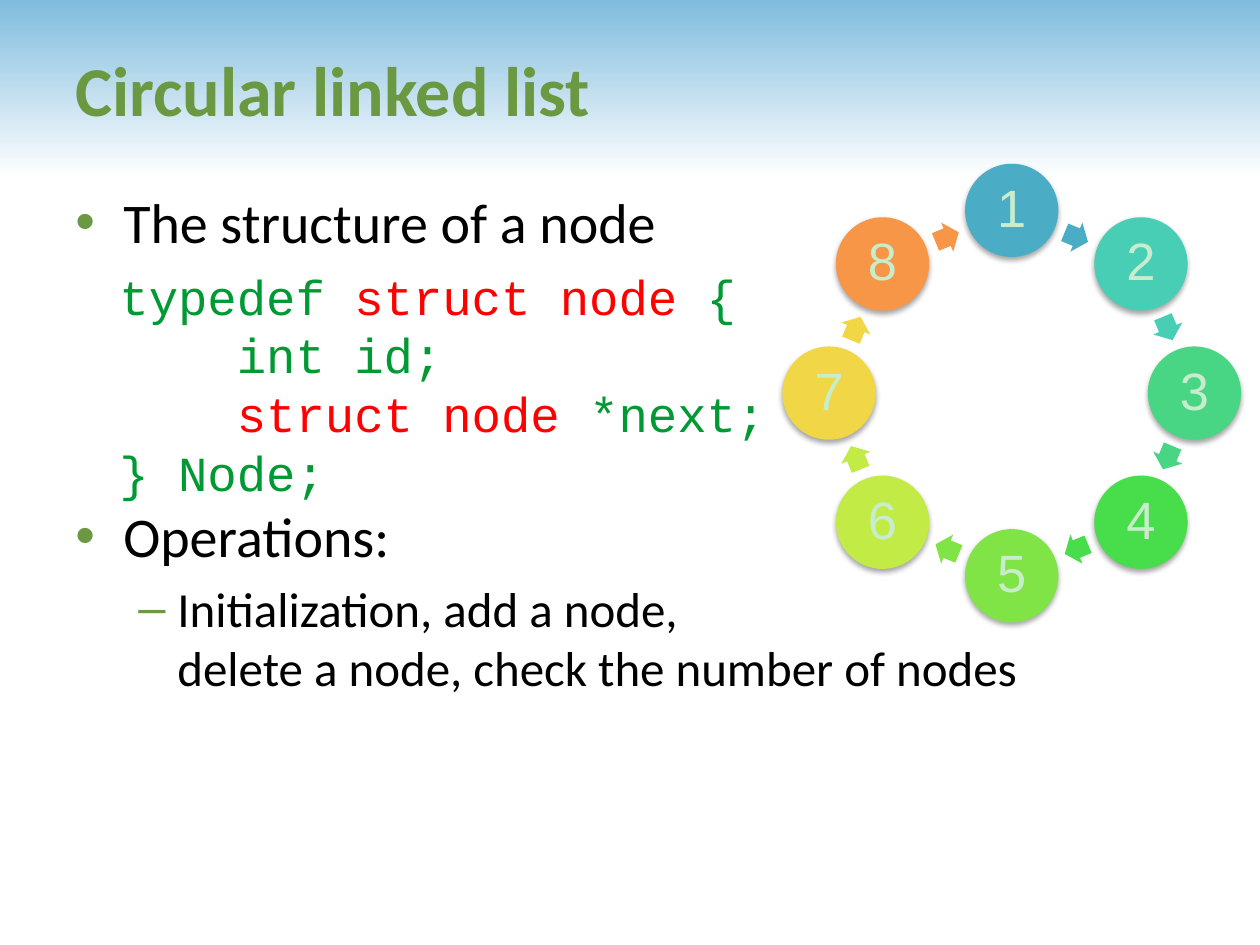
from dataclasses import dataclass
from math import cos, radians, sin

from pptx import Presentation
from pptx.dml.color import RGBColor
from pptx.enum.shapes import MSO_SHAPE as Shape
from pptx.enum.text import MSO_ANCHOR as Anchor, PP_ALIGN as Align
from pptx.oxml import parse_xml
from pptx.oxml.ns import nsdecls
from pptx.util import Inches, Pt


@dataclass(frozen=True)
class Theme:
    heading_font: str = "Calibri"
    code_font: str = "Courier New"
    number_font: str = "Arial"
    title_size: int = 40
    body_size: int = 32
    small_size: int = 28
    number_size: int = 30
    accent: str = "6B9941"
    ink: str = "000000"
    code: str = "009933"
    keyword: str = "FF0000"
    number: str = "C7EDCC"
    band_top: str = "80BCDE"
    paper: str = "FFFFFF"
    ring: tuple = ("4BACC6", "49CEB6", "48D684", "47DD4B",
                   "80E446", "C3EB46", "F1D746", "F79646")


class Painter:
    def __init__(self, page, theme):
        self.page = page
        self.theme = theme

    def band(self, width, height):
        band = self.page.shapes.add_shape(Shape.RECTANGLE, 0, 0, Inches(width), Inches(height))
        band.shadow.inherit = False
        band.line.fill.background()
        band.fill.gradient()
        band.fill.gradient_angle = 270
        for stop, color in zip(band.fill.gradient_stops, (self.theme.band_top, self.theme.paper)):
            stop.color.rgb = RGBColor.from_string(color)

    def text_box(self, left, top, width, height, **frame_format):
        box = self.page.shapes.add_textbox(*map(Inches, (left, top, width, height)))
        for name, value in ({"word_wrap": True} | frame_format).items():
            setattr(box.text_frame, name, value)
        return box.text_frame

    def paragraph(self, frame, first=False, **para_format):
        para = frame.paragraphs[0] if first else frame.add_paragraph()
        for name, value in para_format.items():
            setattr(para, name, value)
        return para

    def span(self, para, text, font, size, color, bold=False):
        span = para.add_run()
        span.text = text
        for name, value in {"name": font, "size": Pt(size), "bold": bold}.items():
            setattr(span.font, name, value)
        span.font.color.rgb = RGBColor.from_string(color)

    def bullet(self, para, mark, margin, hanging):
        props = para._p.get_or_add_pPr()
        props.set("marL", str(Inches(margin)))
        props.set("indent", str(-Inches(hanging)))
        for xml in (f'<a:buClr {nsdecls("a")}><a:srgbClr val="{self.theme.accent}"/></a:buClr>',
                    f'<a:buFont {nsdecls("a")} typeface="Arial"/>',
                    f'<a:buChar {nsdecls("a")} char="{mark}"/>'):
            props.append(parse_xml(xml))

    def solid(self, kind, center, width, height, color):
        x, y = center
        shape = self.page.shapes.add_shape(
            kind, *map(Inches, (x - width / 2, y - height / 2, width, height)))
        shape.shadow.inherit = False
        shape.fill.solid()
        shape.fill.fore_color.rgb = RGBColor.from_string(color)
        shape.line.fill.background()
        return shape

    def node(self, center, size, label, color):
        circle = self.solid(Shape.OVAL, center, size, size, color)
        circle._element.spPr.find(".//{*}effectLst").append(parse_xml(
            f'<a:outerShdw {nsdecls("a")} blurRad="{Pt(3.1)}" dist="{Pt(1.8)}" dir="5400000" '
            'rotWithShape="0"><a:srgbClr val="000000"><a:alpha val="35000"/></a:srgbClr>'
            '</a:outerShdw>'))
        frame = circle.text_frame
        for side in ("left", "top", "right", "bottom"):
            setattr(frame, f"margin_{side}", Inches(0.04))
        frame.vertical_anchor = Anchor.MIDDLE
        para = self.paragraph(frame, first=True, alignment=Align.CENTER, line_spacing=0.9)
        self.span(para, label, self.theme.number_font, self.theme.number_size, self.theme.number)

    def arrow(self, center, angle, color):
        arrow = self.solid(Shape.RIGHT_ARROW, center, 0.2, 0.25, color)
        arrow.adjustments[0] = 0.6
        arrow.adjustments[1] = 0.5
        arrow.rotation = angle


def on_ring(radius, angle):
    """Point on the ring, with the angle clockwise from the top."""
    return 8.03 + radius * sin(radians(angle)), 3.12 - radius * cos(radians(angle))


def main():
    theme = Theme()
    deck = Presentation()
    deck.slide_width, deck.slide_height = Inches(10), Inches(7.5)
    painter = Painter(deck.slides.add_slide(deck.slide_layouts[6]), theme)

    # Header
    painter.band(10, 1.42)
    title = painter.text_box(0.5, 0.08, 9.08, 1.25, vertical_anchor=Anchor.MIDDLE)
    painter.span(painter.paragraph(title, first=True), "Circular linked list",
                 theme.heading_font, theme.title_size, theme.accent, bold=True)

    # Bullets, with room for the code after the first one
    body = painter.text_box(0.5, 1.44, 9.08, 4.5)
    bullets = [
        ("•", 0.38, 0.38, 0, theme.body_size, ["The structure of a node"]),
        ("•", 0.38, 0.38, 141, theme.body_size, ["Operations:"]),
        ("–", 0.81, 0.31, 5.6, theme.small_size,
         ["Initialization, add a node, ", "delete a node, check the number of nodes"]),
    ]
    for index, (mark, margin, hanging, space, size, lines) in enumerate(bullets):
        para = painter.paragraph(body, first=index == 0)
        painter.bullet(para, mark, margin, hanging)
        para.space_before = Pt(space)
        for number, line in enumerate(lines):
            if number:
                para.add_line_break()
            painter.span(para, line, theme.heading_font, size, theme.ink)

    # Ring of nodes
    step = 360 / len(theme.ring)
    for index, color in enumerate(theme.ring):
        angle = index * step
        painter.node(on_ring(1.45, angle), 0.74, str(index + 1), color)
        painter.arrow(on_ring(1.34, angle + step / 2), angle + step / 2, color)

    # Code
    code = painter.text_box(0.85, 2.05, 5.37, 1.99, word_wrap=False,
                            vertical_anchor=Anchor.MIDDLE)
    code_lines = [
        [("typedef ", theme.code), ("struct node ", theme.keyword), ("{", theme.code)],
        [("    int id;", theme.code)],
        [("    ", theme.code), ("struct node ", theme.keyword), ("*next;", theme.code)],
        [("} Node;", theme.code)],
    ]
    for index, line in enumerate(code_lines):
        para = painter.paragraph(code, first=index == 0)
        for text, color in line:
            painter.span(para, text, theme.code_font, theme.small_size, color)

    deck.save("out.pptx")


if __name__ == "__main__":
    main()
